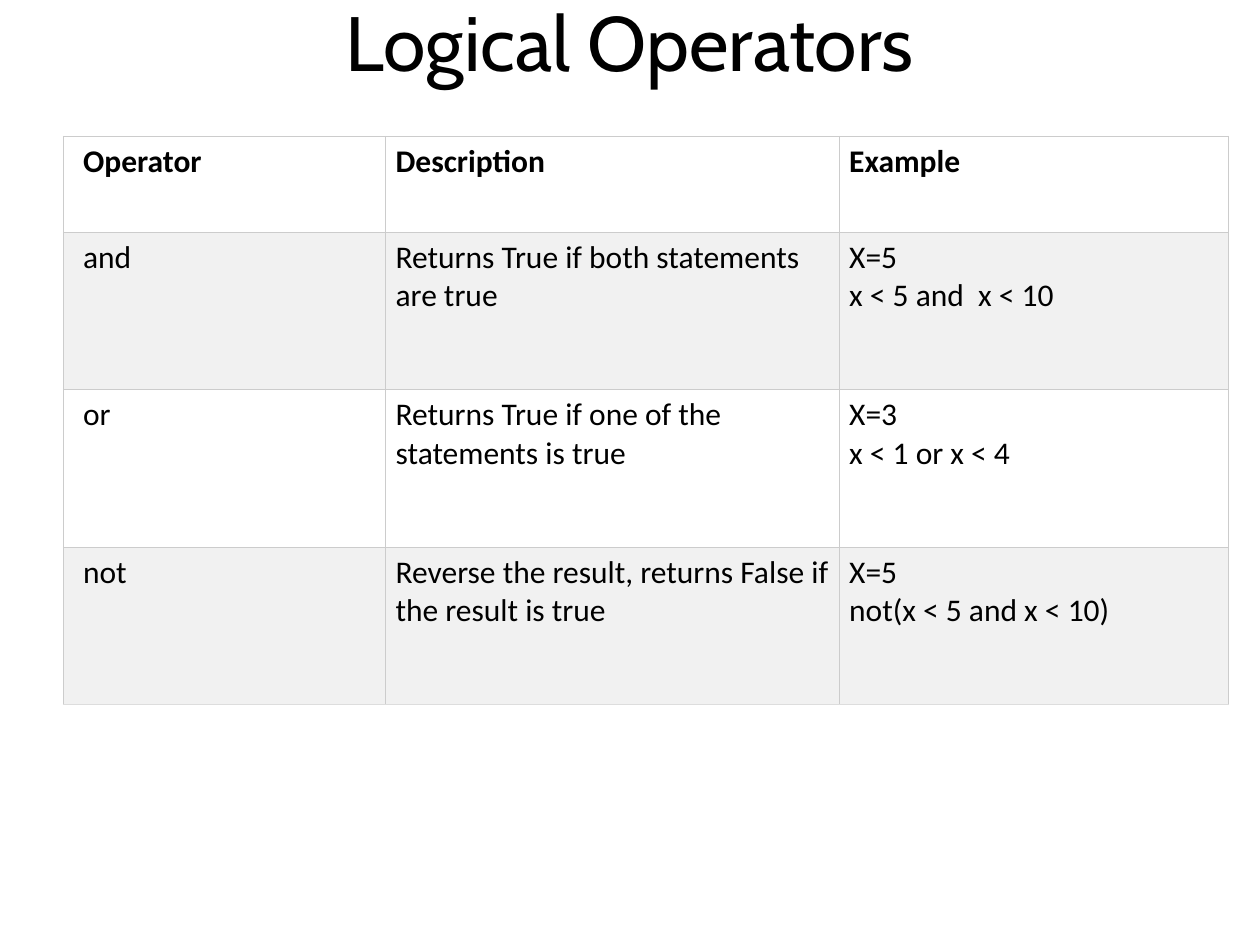
import pptx
import pptx.dml.color
import pptx.enum.text
import pptx.oxml
import pptx.oxml.ns
import pptx.util

ALIGN = pptx.enum.text.PP_ALIGN
ANCHOR = pptx.enum.text.MSO_ANCHOR

COLUMN_WIDTHS = [2.56, 3.6, 3.09]
ROW_HEIGHTS = [0.76, 1.25, 1.25, 1.25]
OPERATORS = [
    ["Operator", "Description", "Example"],
    ["and", "Returns True if both statements are true", "X=5\nx < 5 and  x < 10"],
    ["or", "Returns True if one of the statements is true", "X=3\nx < 1 or x < 4"],
    ["not", "Reverse the result, returns False if the result is true",
     "X=5\nnot(x < 5 and x < 10)"],
]


def color(code):
    return pptx.dml.color.RGBColor.from_string(code)


def write(frame, text, font="Calibri", size=18, bold=False, ink="000000",
          align=ALIGN.LEFT, anchor=ANCHOR.TOP):
    """Fill a text frame, one paragraph for each line of text."""
    frame.word_wrap = True
    frame.vertical_anchor = anchor
    for number, line in enumerate(text.split("\n")):
        para = frame.add_paragraph() if number else frame.paragraphs[0]
        para.alignment = align
        span = para.add_run()
        span.text = line
        span.font.name = font
        span.font.size = pptx.util.Pt(size)
        span.font.bold = bold
        span.font.color.rgb = color(ink)


class SlideBuilder:
    """Holds the style and the current slide."""
    title_font = "Cabin"
    title_size = 44
    title_line = 0.74
    row_fills = ["FFFFFF", "F1F1F1"]
    border = "CCCCCC"
    bottom_border = "DDDDDD"
    border_width = 0.34

    def __init__(self, deck):
        self.deck = deck
        self.slide = deck.slides.add_slide(deck.slide_layouts[6])

    def place(self, left, top, width, height):
        """Turn shares of the slide's size into lengths."""
        across, down = self.deck.slide_width, self.deck.slide_height
        return [round(share * side) for share, side in
                zip((left, top, width, height), (across, down, across, down))]

    def title(self, text, *area):
        box = self.slide.shapes.add_textbox(*self.place(*area))
        frame = box.text_frame
        # A bottom margin of one line lifts the title above the box's middle
        frame.margin_top = 0
        frame.margin_bottom = pptx.util.Inches(self.title_line)
        write(frame, text, font=self.title_font, size=self.title_size,
              align=ALIGN.CENTER, anchor=ANCHOR.MIDDLE)

    def cell_borders(self, cell, bottom):
        properties = cell._tc.get_or_add_tcPr()
        width = pptx.util.Pt(self.border_width)
        for side in "LRTB":
            code = bottom if side == "B" else self.border
            properties.append(pptx.oxml.parse_xml(
                f'<a:ln{side} {pptx.oxml.ns.nsdecls("a")} w="{width}">'
                f'<a:solidFill><a:srgbClr val="{code}"/></a:solidFill></a:ln{side}>'))

    def table(self, rows, widths, heights, *area):
        grid = self.slide.shapes.add_table(
            len(rows), len(widths), *self.place(*area)).table
        grid.first_row = grid.horz_banding = False
        for column, width in zip(grid.columns, widths):
            column.width = pptx.util.Inches(width)
        for row, height in zip(grid.rows, heights):
            row.height = pptx.util.Inches(height)
        for r, texts in enumerate(rows):
            last = r == len(rows) - 1
            for c, text in enumerate(texts):
                cell = grid.cell(r, c)
                cell.margin_left = pptx.util.Inches(0.08 if c else 0.16)
                cell.margin_right = pptx.util.Inches(0.08)
                cell.margin_top = cell.margin_bottom = pptx.util.Inches(0.05)
                self.cell_borders(cell, self.bottom_border if last else self.border)
                cell.fill.solid()
                cell.fill.fore_color.rgb = color(self.row_fills[r % 2])
                write(cell.text_frame, text, bold=r == 0)


def main():
    deck = pptx.Presentation()
    deck.slide_width = pptx.util.Inches(10)
    deck.slide_height = pptx.util.Inches(7.5)
    builder = SlideBuilder(deck)

    # Heading
    builder.title("Logical Operators", 0.05, 0.04, 0.9, 0.104)

    # Operator table
    builder.table(OPERATORS, COLUMN_WIDTHS, ROW_HEIGHTS, 0.05, 0.144, 0.925, 0.602)

    deck.save("out.pptx")


if __name__ == "__main__":
    main()
